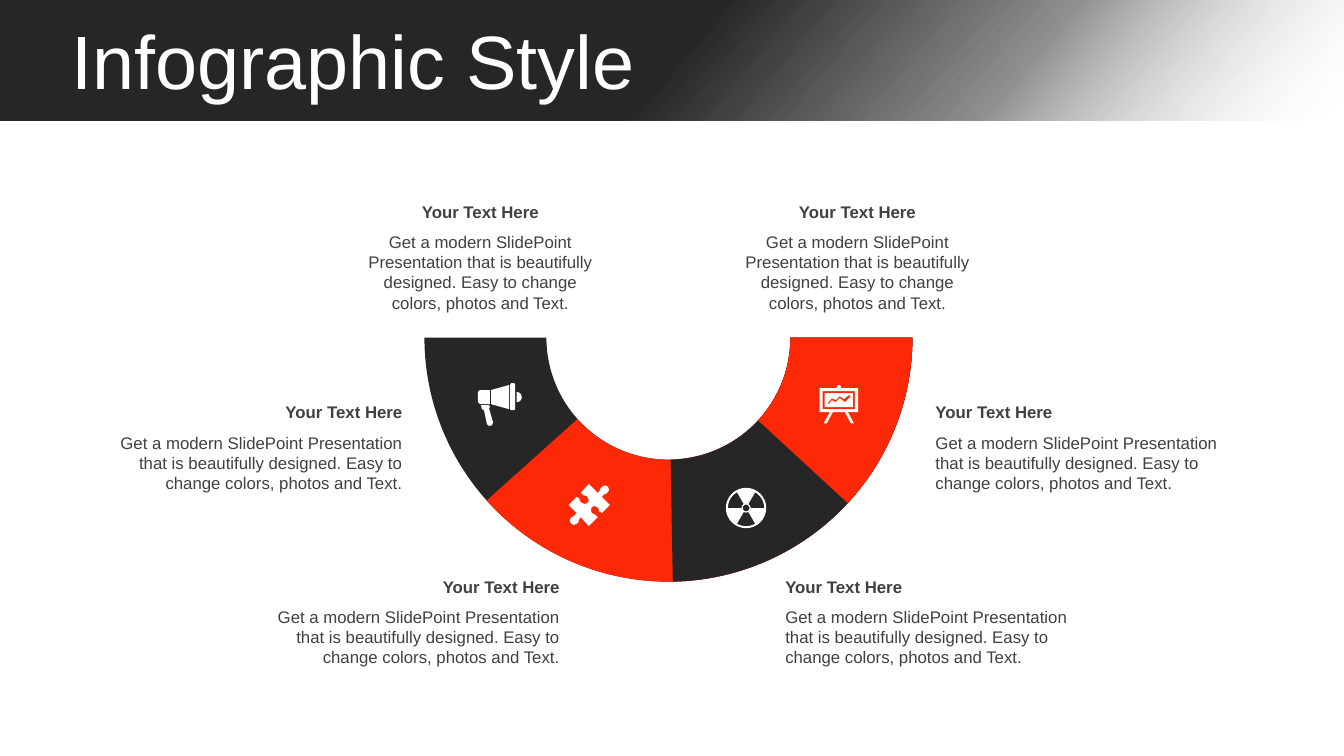
from dataclasses import dataclass
from math import cos, radians, sin

from lxml import etree
from pptx import Presentation
from pptx.dml.color import RGBColor as Rgb
from pptx.enum.shapes import MSO_SHAPE as Shape
from pptx.enum.text import MSO_ANCHOR as Anchor, MSO_AUTO_SIZE as AutoSize, PP_ALIGN as Align
from pptx.oxml import parse_xml
from pptx.oxml.ns import nsdecls
from pptx.util import Inches, Pt


@dataclass(frozen=True)
class Theme:
    dark: str = "262626"
    accent: str = "FD2906"
    white: str = "FFFFFF"
    text: str = "404040"
    font: str = "Arial"
    title_size: int = 54
    body_size: int = 12


THEME = Theme()
CELL = Inches(0.1)
COLUMNS, ROWS = 133.3, 75
BAND_ROWS = 12

HEADING = "Your Text Here"
BODY = ("Get a modern SlidePoint Presentation that is beautifully designed. "
        "Easy to change colors, photos and Text.")
HEADING_ROWS = 3

CAPTIONS = [
    ((35.3, 19.5, 24.7, 12.2), Align.CENTER),
    ((72.7, 19.5, 24.7, 12.2), Align.CENTER),
    ((9.4, 39.4, 31.5, 10.1), Align.RIGHT),
    ((76.9, 56.7, 31.5, 10.1), Align.LEFT),
    ((25, 56.7, 31.5, 10.1), Align.RIGHT),
    ((91.8, 39.4, 31.5, 10.1), Align.LEFT),
]

SEGMENTS = [(180, THEME.dark), (221.85, THEME.accent),
            (271.03, THEME.dark), (317.32, THEME.accent)]


def cells(*lengths):
    return [round(length * CELL) for length in lengths]


def arc(centre, radius, start, end, steps=32):
    angles = [radians(start + (end - start) * step / steps) for step in range(steps + 1)]
    return [(centre[0] + radius * cos(angle), centre[1] + radius * sin(angle))
            for angle in angles]


def rectangle(left, top, right, bottom):
    return [(left, top), (right, top), (right, bottom), (left, bottom)]


def easel():
    frame = [(0, 0.3), *arc((1.9, 0.2), 0.2, 180, 360, 8), (2.1, 0.3), (3.8, 0.3),
             (3.8, 2.7), (2.8, 2.7), (3.4, 3.8), (3.1, 3.8), (2.5, 2.7), (1.3, 2.7),
             (0.7, 3.8), (0.4, 3.8), (1, 2.7), (0, 2.7)]
    frame.insert(1, (1.7, 0.3))
    trend = [(0.8, 1.8), (1.2, 1.3), (1.6, 1.5), (2, 1.1), (2.4, 1.4), (2.9, 1),
             (3.1, 1.1), (2.5, 1.7), (2, 1.3), (1.6, 1.7), (1.2, 1.5), (0.9, 1.9)]
    return [frame, rectangle(0.3, 0.6, 3.5, 2.4), rectangle(0.5, 0.8, 3.3, 2.2), trend]


def puzzle():
    return [[(3.9, 0.3), (4, 0.6), (3.9, 0.8), (3.7, 1), (3.5, 1.05), (3.3, 1.3),
             (4.1, 2.1), (3.3, 2.9), (3, 2.7), (3, 2.5), (2.8, 2.3), (2.55, 2.2),
             (2.3, 2.3), (2.2, 2.6), (2.3, 2.9), (2.6, 3.05), (2.9, 3.3), (2, 4.2),
             (1.2, 3.3), (1, 3.6), (1, 3.8), (0.8, 3.95), (0.5, 4.1), (0.2, 3.9),
             (0.1, 3.65), (0.2, 3.4), (0.5, 3.2), (0.8, 2.9), (0, 2.1), (0.8, 1.3),
             (1.1, 1.5), (1.1, 1.7), (1.3, 1.9), (1.6, 2), (1.9, 1.9), (2, 1.6),
             (1.8, 1.2), (1.5, 1.15), (1.2, 0.9), (2, 0), (2.9, 0.9), (3.1, 0.65),
             (3.1, 0.5), (3.3, 0.3), (3.6, 0.15)]]


def radiation():
    centre = (2, 2)
    blades = [arc(centre, 1.8, start, start + 60) + arc(centre, 0.45, start + 60, start)
              for start in (60, 180, 300)]
    return [arc(centre, 2, 0, 360), *blades, arc(centre, 0.33, 0, 360)]


def megaphone():
    handle = [(1.1, 2.2), (1.2, 2.4), (1.1, 2.5), (1.5, 3.9), (1.4, 4.2), (1.1, 4.25),
              (0.9, 4.1), (0.6, 2.7), (0.4, 2.6), (0.3, 2.2)]
    body = [(0.2, 0.7), (1.2, 0.7), (1.2, 2.1), (0.2, 2.1), (0, 1.9), (0, 0.9)]
    cone = [(3.1, 0.2), (3.1, 2.6), (1.3, 2.1), (1.3, 0.7)]
    rim = [(3.3, 0), (3.6, 0), (3.7, 0.2), (3.7, 2.6), (3.6, 2.7), (3.3, 2.7),
           (3.2, 2.6), (3.2, 0.2)]
    return [handle, body, cone, rim, arc((3.85, 1.4), 0.5, -90, 90, 12)]


ICONS = [((81.3, 38.2), easel), ((56.4, 48), puzzle),
         ((72, 48.4), radiation), ((47.4, 38), megaphone)]


def paint(shape, colour):
    shape.shadow.inherit = False
    shape.line.fill.background()
    shape.fill.solid()
    shape.fill.fore_color.rgb = Rgb.from_string(colour)


def write(para, text, size, colour, bold=False):
    span = para.add_run()
    span.text = text
    span.font.name = THEME.font
    span.font.size = Pt(size)
    span.font.bold = bold
    span.font.color.rgb = Rgb.from_string(colour)


def add_header(page, box):
    band = page.shapes.add_shape(Shape.RECTANGLE, *cells(*box))
    paint(band, THEME.dark)
    gradient = parse_xml(f"<a:gradFill {nsdecls('a')} rotWithShape='1'>"
                         "<a:gsLst/><a:lin ang='13200000' scaled='0'/></a:gradFill>")
    for position, colour, alpha in [(0, THEME.white, 0), (25, THEME.dark, 50),
                                    (50, THEME.dark, 100), (100, THEME.dark, 100)]:
        gradient[0].append(etree.fromstring(
            f"<a:gs {nsdecls('a')} pos='{position * 1000}'><a:srgbClr val='{colour}'>"
            f"<a:alpha val='{alpha * 1000}'/></a:srgbClr></a:gs>"))
    properties = band.element.spPr
    properties.replace(properties.find("{*}solidFill"), gradient)
    band.element.getparent().insert(2, band.element)

    left, top, width, height = box
    title = page.shapes.title
    title.left, title.top, title.width, title.height = cells(
        left + 6.1, top + 2.5, width - 9.3, height - 4.1)
    frame = title.text_frame
    frame.word_wrap = True
    frame.auto_size = AutoSize.NONE
    frame.vertical_anchor = Anchor.MIDDLE
    para = frame.paragraphs[0]
    para.alignment = Align.LEFT
    para.line_spacing = 0.9
    write(para, "Infographic Style", THEME.title_size, THEME.white)


def add_arch(page, box):
    for start, colour in SEGMENTS:
        segment = page.shapes.add_shape(Shape.BLOCK_ARC, *cells(*box))
        segment.rotation = 180
        segment.element.spPr.find("{*}xfrm").set("flipH", "1")
        for index, value in enumerate((start * 0.6, 0, 0.25)):
            segment.adjustments[index] = value
        paint(segment, colour)


def add_caption(page, box, align):
    left, top, width, height = box
    parts = [(top, HEADING_ROWS, HEADING, True),
             (top + HEADING_ROWS, height - HEADING_ROWS, BODY, False)]
    for part_top, part_height, text, bold in parts:
        label = page.shapes.add_textbox(*cells(left, part_top, width, part_height))
        frame = label.text_frame
        frame.word_wrap = True
        para = frame.paragraphs[0]
        para.alignment = align
        write(para, text, THEME.body_size, THEME.text, bold)


def add_icon(page, corner, contours):
    outlines = [[cells(*point) for point in contour] for contour in contours]
    builder = page.shapes.build_freeform(*outlines[0][0])
    builder.add_line_segments(outlines[0][1:], close=True)
    for outline in outlines[1:]:
        builder.move_to(*outline[0])
        builder.add_line_segments(outline[1:], close=True)
    paint(builder.convert_to_shape(*cells(*corner)), THEME.white)


def main():
    deck = Presentation()
    deck.slide_width, deck.slide_height = cells(COLUMNS, ROWS)
    page = deck.slides.add_slide(deck.slide_layouts[5])
    add_header(page, (0, 0, COLUMNS, BAND_ROWS))
    add_arch(page, (42.1, 9.3, 48.4, 48.4))
    for box, align in CAPTIONS:
        add_caption(page, box, align)
    for corner, contours in ICONS:
        add_icon(page, corner, contours())
    deck.save("out.pptx")


if __name__ == "__main__":
    main()
